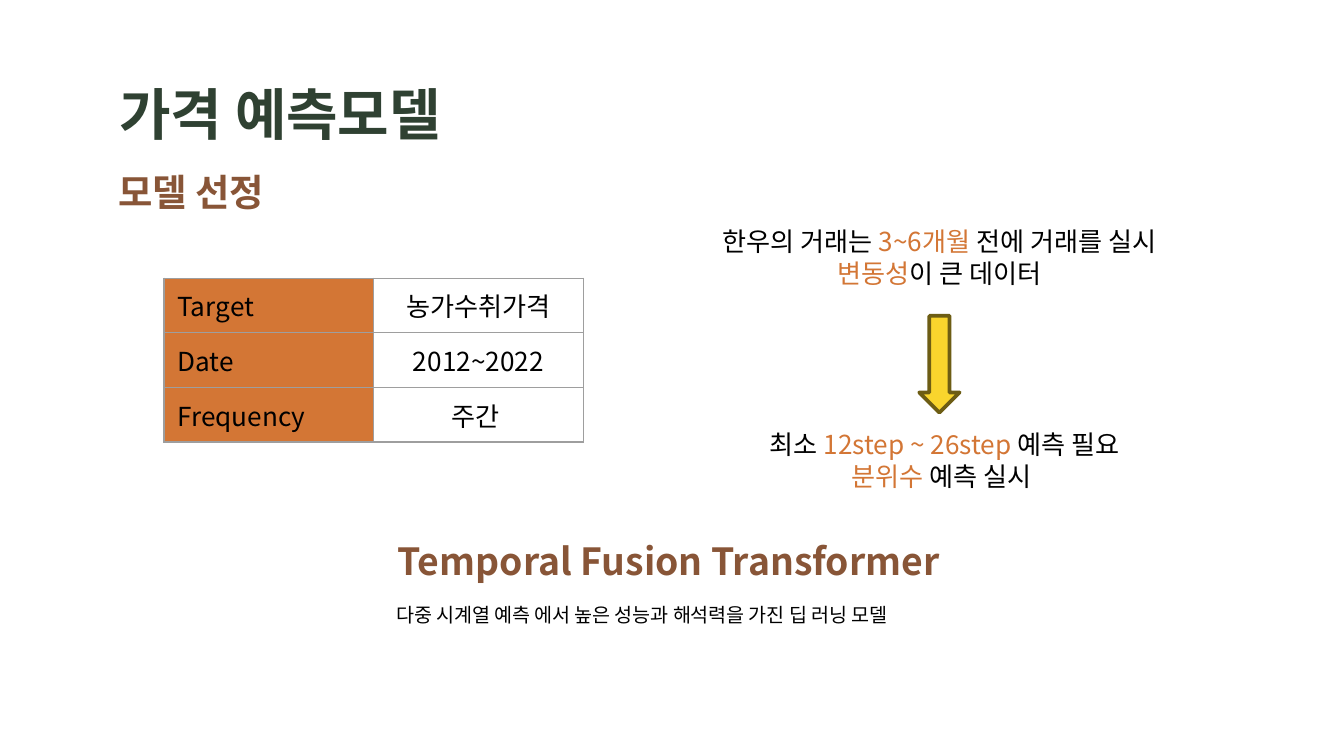
from dataclasses import dataclass

from lxml import etree
from pptx import Presentation
from pptx.dml.color import RGBColor
from pptx.enum.shapes import MSO_SHAPE
from pptx.enum.text import MSO_ANCHOR, MSO_AUTO_SIZE, PP_ALIGN
from pptx.oxml.ns import qn
from pptx.util import Inches, Pt

FONT = "Noto Sans CJK KR"
COLORS = {
    "green": "2F4132",
    "brown": "885537",
    "orange": "D37635",
    "black": "000000",
    "yellow": "F9D52D",
    "olive": "6D5D14",
    "gray": "9E9E9E",
}
LEFT, CENTER = PP_ALIGN.LEFT, PP_ALIGN.CENTER
TOP, MIDDLE, BOTTOM = MSO_ANCHOR.TOP, MSO_ANCHOR.MIDDLE, MSO_ANCHOR.BOTTOM
GROW, FIXED = MSO_AUTO_SIZE.SHAPE_TO_FIT_TEXT, MSO_AUTO_SIZE.NONE
DOWN_ARROW = MSO_SHAPE.DOWN_ARROW


@dataclass
class Run:
    text: str
    color: str = "black"


@dataclass
class TextBlock:
    box: tuple[float, float, float, float]
    lines: list[list[Run]]
    size: float
    bold: bool = False
    align: PP_ALIGN = LEFT
    anchor: MSO_ANCHOR = TOP
    wrap: bool = True
    grow: bool = False


def color(name: str) -> RGBColor:
    return RGBColor.from_string(COLORS[name])


def heading(box: tuple[float, float, float, float], text: str) -> TextBlock:
    return TextBlock(box, [[Run(text, "brown")]], 20, bold=True, anchor=BOTTOM)


def add_run(paragraph, part: Run, size: float, bold: bool = False) -> None:
    run = paragraph.add_run()
    run.text = part.text
    font = run.font
    font.size, font.bold, font.name = Pt(size), bold, FONT
    font.color.rgb = color(part.color)


def fill_text(shape, block: TextBlock) -> None:
    frame = shape.text_frame
    frame.word_wrap = block.wrap
    frame.auto_size = GROW if block.grow else FIXED
    frame.vertical_anchor = block.anchor
    if not block.grow:
        frame.margin_left = frame.margin_right = Inches(0.1)
        frame.margin_top = frame.margin_bottom = Inches(0.1)
    for index, line in enumerate(block.lines):
        paragraph = frame.add_paragraph() if index else frame.paragraphs[0]
        paragraph.alignment = block.align
        for part in line:
            add_run(paragraph, part, block.size, block.bold)


def add_text(slide, block: TextBlock) -> None:
    shape = slide.shapes.add_textbox(*map(Inches, block.box))
    fill_text(shape, block)


def set_borders(cell) -> None:
    properties = cell._tc.get_or_add_tcPr()
    for index, side in enumerate(("lnL", "lnR", "lnT", "lnB")):
        line = etree.Element(qn(f"a:{side}"), w=str(Pt(0.75)))
        solid = etree.SubElement(line, qn("a:solidFill"))
        etree.SubElement(solid, qn("a:srgbClr")).set("val", COLORS["gray"])
        properties.insert(index, line)


def add_data_table(slide, rows: list[tuple[str, str]]) -> None:
    frame = slide.shapes.add_table(
        len(rows), 2, Inches(1.22), Inches(2.07), Inches(3.12), Inches(1.22))
    table = frame.table
    table.first_row = table.horz_banding = False
    for row_index, row in enumerate(rows):
        for column_index, text in enumerate(row):
            cell = table.cell(row_index, column_index)
            cell.vertical_anchor = MIDDLE
            paragraph = cell.text_frame.paragraphs[0]
            if column_index == 0:
                cell.fill.solid()
                cell.fill.fore_color.rgb = color("orange")
            else:
                cell.fill.background()
                paragraph.alignment = CENTER
            add_run(paragraph, Run(text), 14)
            set_borders(cell)


def add_down_arrow(slide) -> None:
    arrow = slide.shapes.add_shape(
        DOWN_ARROW, Inches(6.84), Inches(2.35), Inches(0.3), Inches(0.72))
    arrow.shadow.inherit = False
    arrow.fill.solid()
    arrow.fill.fore_color.rgb = color("yellow")
    arrow.line.color.rgb = color("olive")
    arrow.line.width = Pt(2)


TITLE = TextBlock((0.79, 0.49, 8.43, 0.63), [[Run("가격 예측모델", "green")]],
                  30, bold=True)

DATA_ROWS = [
    ("Target", "농가수취가격"),
    ("Date", "2012~2022"),
    ("Frequency", "주간 "),
]

TEXTS = [
    heading((0.78, 1.11, 2.65, 0.58), "모델 선정"),
    heading((2.86, 3.86, 5.41, 0.58), "Temporal Fusion Transformer"),
    TextBlock((2.85, 4.44, 5.09, 0.28),
              [[Run("다중 시계열 예측 에서 높은 성능과 해석력을 가진 딥 러닝 모델")]],
              10.5, grow=True),
    # Trading conditions above the arrow
    TextBlock((5, 1.63, 3.98, 0.57),
              [[Run("한우의 거래는 "), Run("3~6개월 ", "orange"), Run("전에 거래를 실시")],
               [Run("변동성", "orange"), Run("이 큰 데이터")]],
              14, align=CENTER, grow=True),
    # Forecast requirements below the arrow
    TextBlock((5.56, 3.14, 2.94, 0.57),
              [[Run("최소 "), Run("12step ~ 26step ", "orange"), Run("예측 필요")],
               [Run("분위수", "orange"), Run(" 예측 실시 ")]],
              14, align=CENTER, wrap=False, grow=True),
]


def main() -> None:
    presentation = Presentation()
    # Widescreen, 16:9
    presentation.slide_width, presentation.slide_height = Inches(10), Inches(10 * 9 / 16)
    slide = presentation.slides.add_slide(presentation.slide_layouts[6])

    add_text(slide, TITLE)
    add_data_table(slide, DATA_ROWS)
    for block in TEXTS:
        add_text(slide, block)
    add_down_arrow(slide)

    presentation.save("out.pptx")


if __name__ == "__main__":
    main()
